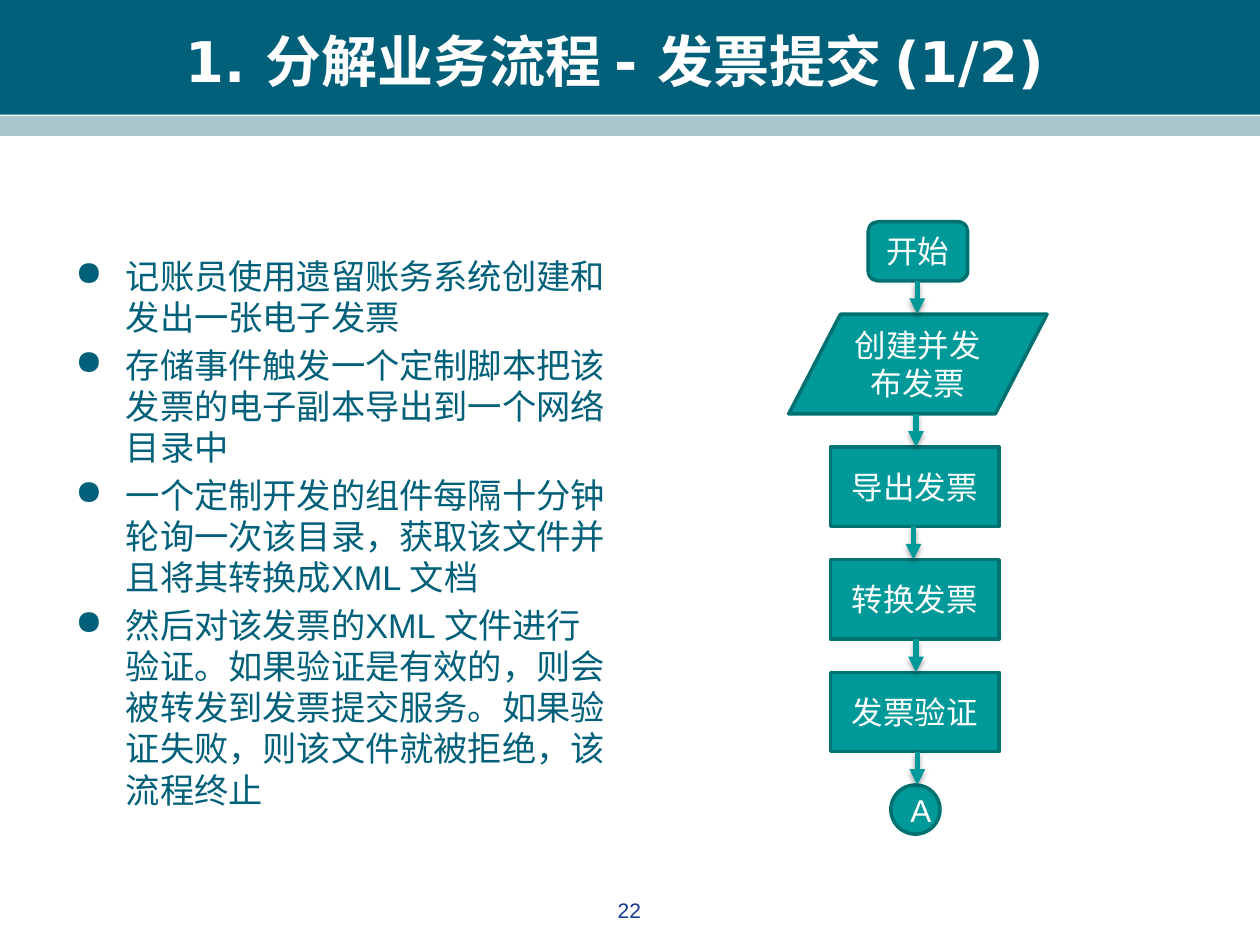
"""Build the invoice submission slide: a bullet list beside a flow chart."""
from pptx import Presentation
from pptx.dml.color import RGBColor
from pptx.enum.shapes import MSO_CONNECTOR, MSO_SHAPE
from pptx.enum.text import MSO_ANCHOR, PP_ALIGN
from pptx.oxml import parse_xml
from pptx.oxml.ns import nsdecls
from pptx.util import Inches, Pt

TITLE = "1. 分解业务流程 - 发票提交 (1/2) "
POINTS = [
    "记账员使用遗留账务系统创建和发出一张电子发票",
    "存储事件触发一个定制脚本把该发票的电子副本导出到一个网络目录中",
    "一个定制开发的组件每隔十分钟轮询一次该目录，获取该文件并且将其转换成XML 文档",
    "然后对该发票的XML 文件进行验证。如果验证是有效的，则会被转发到发票提交服务。"
    "如果验证失败，则该文件就被拒绝，该流程终止",
]
PAGE = "22"
STEPS = [
    ("开始", MSO_SHAPE.FLOWCHART_ALTERNATE_PROCESS, 6.89, 0.79, 0.47),
    ("创建并发布发票", MSO_SHAPE.FLOWCHART_DATA, 6.26, 2.05, 0.79),
    ("导出发票", MSO_SHAPE.FLOWCHART_PROCESS, 6.59, 1.34, 0.63),
    ("转换发票", MSO_SHAPE.FLOWCHART_PROCESS, 6.59, 1.34, 0.63),
    ("发票验证", MSO_SHAPE.FLOWCHART_PROCESS, 6.59, 1.34, 0.63),
    ("A", MSO_SHAPE.FLOWCHART_CONNECTOR, 7.07, 0.39, 0.39),
]
LINKS = [7.28, 7.27, 7.25, 7.27, 7.28]
TOP, BASE = 1.76, 6.62

THEME = {
    "bar": "00607A", "strip": "A9C6CC", "step": "009999", "edge": "007171",
    "title": {"name": "DejaVu Sans", "size": 32, "bold": True, "color": "FFFFFF"},
    "body": {"name": "Arial", "size": 19.6, "color": "00607A"},
    "label": {"name": "Arial", "size": 18, "color": "FFFFFF"},
    "page": {"name": "Arial", "size": 12, "color": "163794"},
}


def style(font, look):
    for key, val in look.items():
        if key == "color":
            font.color.rgb = RGBColor.from_string(val)
        else:
            setattr(font, key, Pt(val) if key == "size" else val)


def write(shape, lines, look, anchor=MSO_ANCHOR.MIDDLE, mark=None):
    frame = shape.text_frame
    for key, val in {"word_wrap": True, "vertical_anchor": anchor}.items():
        setattr(frame, key, val)
    for num, line in enumerate(lines):
        para = frame.add_paragraph() if num else frame.paragraphs[0]
        if mark:
            mark(para, look, num)
        else:
            para.alignment = PP_ALIGN.CENTER
        run = para.add_run()
        run.text = line
        style(run.font, look)


def bullet(para, look, num):
    props = para._p.get_or_add_pPr()
    for key, val in {"marL": Inches(0.4), "indent": Inches(-0.4)}.items():
        props.set(key, str(val))
    if num:
        para.space_before = Pt(0.2 * look["size"])
    props.append(parse_xml(
        f'<a:buClr {nsdecls("a")}><a:srgbClr val="{look["color"]}"/></a:buClr>'))
    props.append(parse_xml(f'<a:buChar {nsdecls("a")} char="●"/>'))


def block(slide, kind, area, fill, edge=None):
    shape = slide.shapes.add_shape(kind, *map(Inches, area))
    shape.shadow.inherit = False
    shape.fill.solid()
    shape.fill.fore_color.rgb = RGBColor.from_string(fill)
    if edge:
        shape.line.color.rgb = RGBColor.from_string(edge)
        shape.line.width = Pt(2)
    else:
        shape.line.fill.background()
    return shape


def textbox(slide, area):
    return slide.shapes.add_textbox(*map(Inches, area))


def arrow(slide, left, start, end):
    link = slide.shapes.add_connector(
        MSO_CONNECTOR.STRAIGHT, *map(Inches, (left, start, left, end)))
    link.line.color.rgb = RGBColor.from_string(THEME["step"])
    link.line.width = Pt(3)
    link.line._get_or_add_ln().append(
        parse_xml(f'<a:tailEnd {nsdecls("a")} type="triangle"/>'))
    link._element.spPr.append(parse_xml(
        f'<a:effectLst {nsdecls("a")}><a:outerShdw blurRad="{Pt(3.1)}" '
        f'dist="{Pt(1.8)}" dir="5400000" rotWithShape="0">'
        '<a:srgbClr val="000000"><a:alpha val="35000"/></a:srgbClr>'
        '</a:outerShdw></a:effectLst>'))


def flow(slide):
    gap = (BASE - TOP - sum(step[-1] for step in STEPS)) / len(LINKS)
    top, ends = TOP, []
    for text, kind, left, width, height in STEPS:
        shape = block(slide, kind, (left, top, width, height),
                      THEME["step"], THEME["edge"])
        write(shape, [text], THEME["label"])
        ends.append(top + height)
        top += height + gap
    for left, end in zip(LINKS, ends):
        arrow(slide, left, end, end + gap)


def main():
    deck = Presentation()
    deck.slide_width, deck.slide_height = Inches(10), Inches(7.5)
    slide = deck.slides.add_slide(deck.slide_layouts[6])
    block(slide, MSO_SHAPE.RECTANGLE, (0, 0, 10, 0.91), THEME["bar"])
    block(slide, MSO_SHAPE.RECTANGLE, (0, 0.92, 10, 0.16), THEME["strip"])
    write(textbox(slide, (0.33, 0.17, 9.25, 0.62)), [TITLE], THEME["title"])
    write(textbox(slide, (0.5, 1.75, 4.42, 4.95)), POINTS, THEME["body"],
          mark=bullet)
    write(textbox(slide, (3.83, 7.07, 2.33, 0.35)), [PAGE], THEME["page"],
          MSO_ANCHOR.TOP)
    flow(slide)
    deck.save("out.pptx")


if __name__ == "__main__":
    main()
